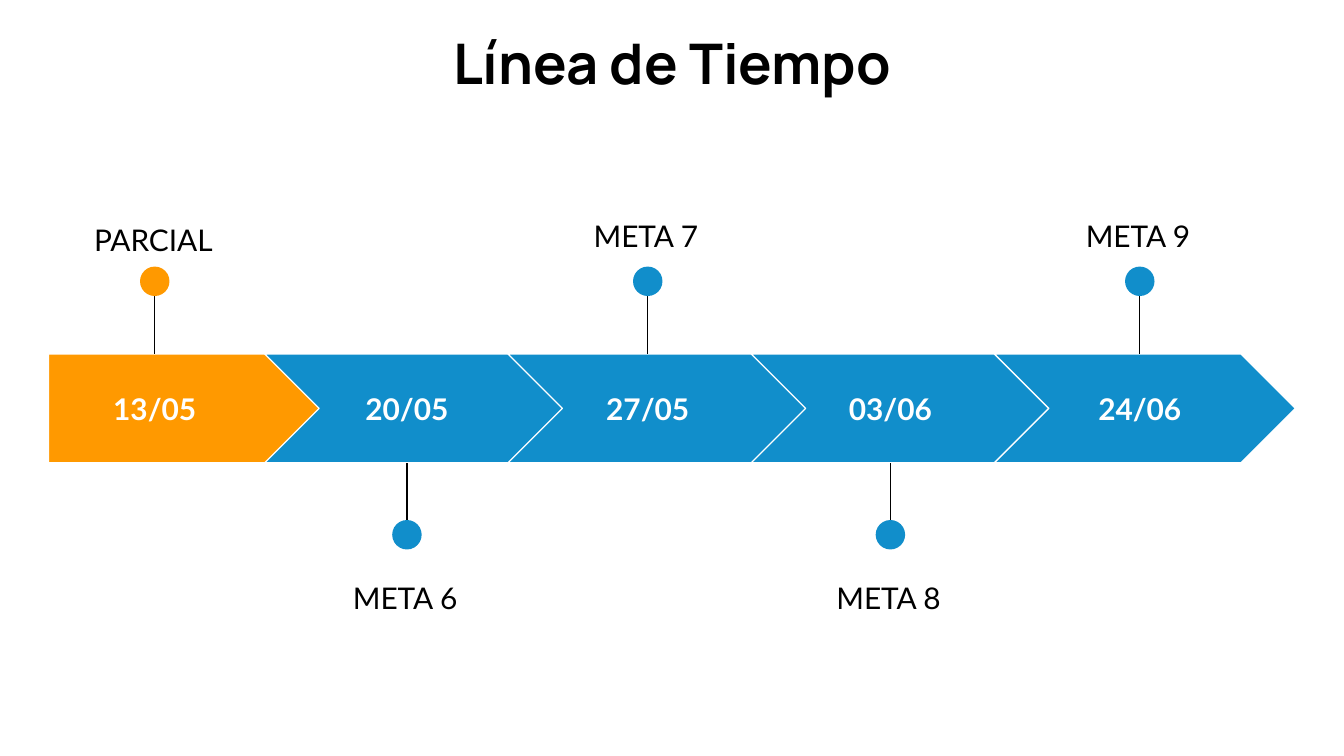
from pptx import Presentation
from pptx.dml.color import RGBColor
from pptx.enum.shapes import MSO_CONNECTOR, MSO_SHAPE
from pptx.enum.text import MSO_ANCHOR, MSO_AUTO_SIZE, PP_ALIGN
from pptx.oxml.ns import qn
from pptx.util import Pt
from lxml import etree

PLATE, ARROW, DOT = MSO_SHAPE.PENTAGON, MSO_SHAPE.CHEVRON, MSO_SHAPE.OVAL
LINE = MSO_CONNECTOR.STRAIGHT
TOP, MIDDLE = MSO_ANCHOR.TOP, MSO_ANCHOR.MIDDLE
LEFT, CENTER = PP_ALIGN.LEFT, PP_ALIGN.CENTER
ORANGE = RGBColor(0xFF, 0x99, 0x00)
BLUE = RGBColor(0x11, 0x8E, 0xCB)
WHITE = RGBColor(0xFF, 0xFF, 0xFF)
BLACK = RGBColor(0x00, 0x00, 0x00)


def write(box, text, font, size, color, bold, align, anchor):
    frame = box.text_frame
    frame.text = text
    frame.word_wrap = True
    frame.auto_size = MSO_AUTO_SIZE.NONE
    frame.vertical_anchor = anchor
    frame.margin_left = frame.margin_right = Pt(7.2)
    frame.margin_top = frame.margin_bottom = Pt(7.2)
    para = frame.paragraphs[0]
    para.alignment = align
    style = para.runs[0].font
    style.name, style.size, style.bold = font, Pt(size), bold
    style.color.rgb = color
    return para


def draw(kind, left, top, width, height, fill):
    shape = slide.shapes.add_shape(kind, Pt(left), Pt(top), Pt(width), Pt(height))
    shape.shadow.inherit = False
    shape.fill.solid()
    shape.fill.fore_color.rgb = fill
    return shape


deck = Presentation()
deck.slide_width, deck.slide_height = Pt(720), Pt(405)
slide = deck.slides.add_slide(deck.slide_layouts[5])

title = slide.shapes.title
title.left, title.top, title.width, title.height = Pt(7.6), Pt(8), Pt(705), Pt(49.6)
write(title, "Línea de Tiempo", "Manrope", 30, BLACK, True, CENTER, TOP)

steps = [
    ("13/05", "PARCIAL", 82.9),
    ("20/05", "META 6", 218),
    ("27/05", "META 7", 347),
    ("03/06", "META 8", 477),
    ("24/06", "META 9", 610.6),
]
band, tall, pitch = 189.6, 58.4, 130.3
dot = 15.8

for i, (date, name, mid) in enumerate(steps):
    first, above = i == 0, i % 2 == 0
    fill = ORANGE if first else BLUE
    if first:
        step = draw(PLATE, 26, band, 147.6, tall, fill)
    else:
        step = draw(ARROW, 141.8 + (i - 1) * pitch, band, 161.3, tall, fill)
    step.adjustments[0] = 0.5
    step.line.color.rgb = WHITE
    step.line.width = Pt(0.75)

    box = slide.shapes.add_textbox(Pt(mid - 52), Pt(200.4), Pt(104), Pt(36.8))
    write(box, date, "Lato", 16, WHITE, True, CENTER, MIDDLE)

    edge, end = (band, 146.4) if above else (band + tall, 291)
    stem = slide.shapes.add_connector(LINE, Pt(mid), Pt(end), Pt(mid), Pt(edge))
    stem.line.color.rgb = BLACK
    stem.line.width = Pt(0.75)
    etree.SubElement(stem._element.spPr, qn("a:effectLst"))

    ball = draw(DOT, mid - dot / 2, 142.8 if above else 278.6, dot, dot, fill)
    ball.line.fill.background()

    wide = 79.2 if first else 72
    top = 108.7 if first else 106.6 if above else 300.5
    label = slide.shapes.add_textbox(Pt(mid - wide / 2), Pt(top), Pt(wide), Pt(31))
    para = write(label, name, "Lato", 16, BLACK, False, LEFT, TOP)
    para.line_spacing = 1.15
    para.space_after = Pt(16)

deck.save("out.pptx")
